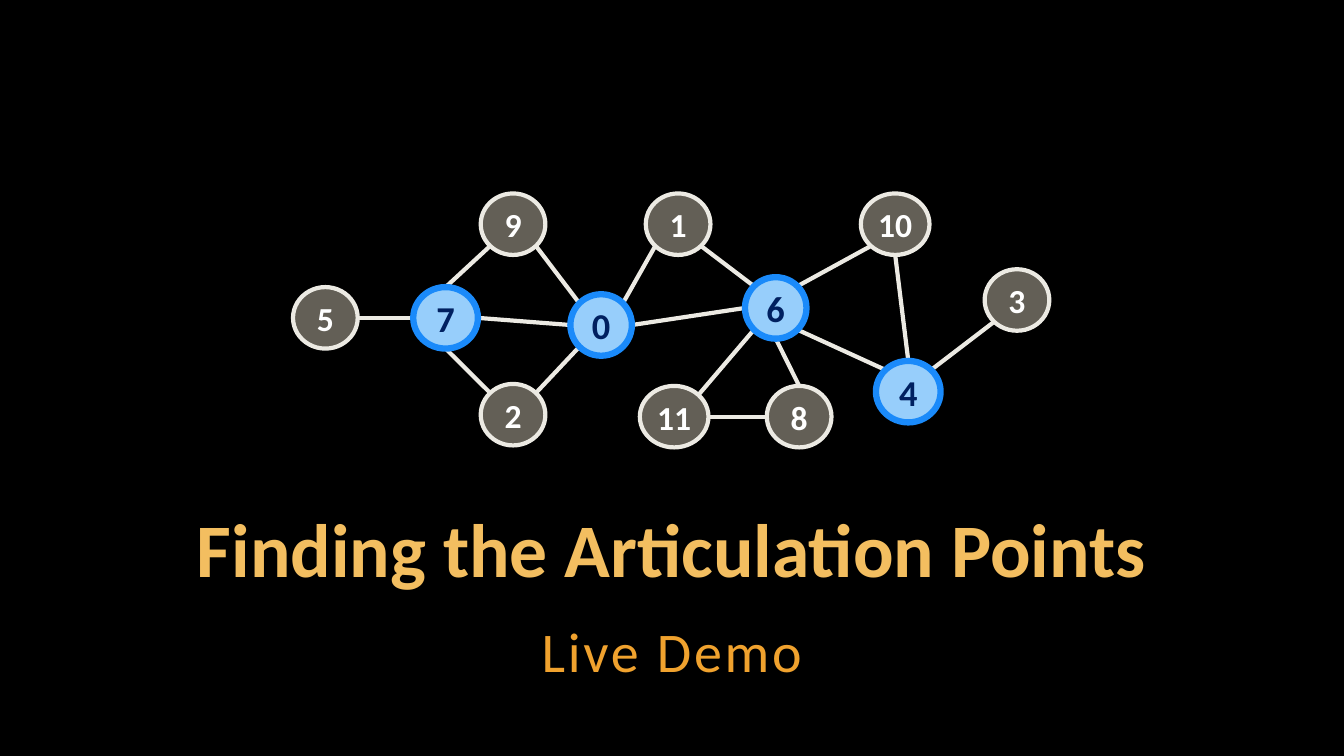
import math
from dataclasses import dataclass

import pptx
import pptx.dml.color
import pptx.enum.shapes
import pptx.enum.text
import pptx.oxml.ns
import pptx.oxml.xmlchemy
import pptx.util
from pptx.util import Cm, Pt


@dataclass(frozen=True)
class Theme:
    font: str = "Calibri"
    background: str = "000000"
    title: str = "F3BE60"
    subtitle: str = "F0A22E"
    edge: str = "ECEAE3"
    vertex_fill: str = "C7BFAC"
    vertex_text: str = "FFFFFF"
    cut_fill: str = "97CEFB"
    cut_line: str = "1A8AFA"
    cut_text: str = "002060"
    title_size: int = 54
    subtitle_size: int = 40
    vertex_size: int = 24
    cut_size: int = 26
    edge_width: float = 3
    cut_width: float = 4.5


THEME = Theme()
HEIGHT = 1.55
NARROW, NORMAL, WIDE = 1.55, 1.63, 1.73
ARTICULATION_POINTS = {0, 4, 6, 7}

VERTICES = {
    0: (15.15, 8.19, NARROW),
    1: (17.09, 5.65, NORMAL),
    2: (12.93, 10.45, NORMAL),
    3: (25.63, 7.56, NORMAL),
    4: (22.89, 9.87, NORMAL),
    5: (8.2, 8.01, NORMAL),
    6: (19.55, 7.76, NARROW),
    7: (11.23, 8.01, NORMAL),
    8: (20.14, 10.5, NORMAL),
    9: (12.93, 5.65, NORMAL),
    10: (22.56, 5.65, WIDE),
    11: (16.99, 10.5, WIDE),
}

EDGES = [
    (5, "E", 7, "W"),
    (7, "N", 9, "SW"),
    (7, "S", 2, "NW"),
    (7, "E", 0, "W"),
    (9, "SE", 0, "NW"),
    (2, "NE", 0, "SW"),
    (0, "NE", 1, "SW"),
    (0, "E", 6, "W"),
    (1, "SE", 6, "NW"),
    (6, "NE", 10, "SW"),
    (6, "SE", 4, "NW"),
    (6, "SW", 11, "NE"),
    (6, "S", 8, "N"),
    (11, "E", 8, "W"),
    (10, "S", 4, "N"),
    (4, "NE", 3, "SW"),
]
COMPASS = ("E", "SE", "S", "SW", "W", "NW", "N", "NE")


def rgb(value):
    return pptx.dml.color.RGBColor.from_string(value)


def write_text(frame, text, *, size, color, bold=False, anchor="TOP",
               margins=(0.1, 0.1), line_spacing=1.0, space_after=0,
               tracking=0, grow=False):
    frame.word_wrap = True
    frame.auto_size = (pptx.enum.text.MSO_AUTO_SIZE.SHAPE_TO_FIT_TEXT if grow
                       else pptx.enum.text.MSO_AUTO_SIZE.NONE)
    frame.vertical_anchor = pptx.enum.text.MSO_ANCHOR[anchor]
    frame.margin_left = frame.margin_right = Cm(margins[0])
    frame.margin_top = frame.margin_bottom = Cm(margins[1])
    paragraph = frame.paragraphs[0]
    paragraph.alignment = pptx.enum.text.PP_ALIGN.CENTER
    paragraph.line_spacing = line_spacing
    paragraph.space_before = Pt(0)
    paragraph.space_after = Pt(space_after)
    run = paragraph.add_run()
    run.text = text
    run.font.name = THEME.font
    run.font.size = Pt(size)
    run.font.bold = bold
    run.font.color.rgb = rgb(color)
    if tracking:
        run.font._element.set("spc", str(tracking * 100))


def rim_point(label, direction):
    x, y, width = VERTICES[label]
    angle = COMPASS.index(direction) * math.pi / 4
    return (Cm(x + width / 2 * math.cos(angle)),
            Cm(y + HEIGHT / 2 * math.sin(angle)))


def add_edge(graph, start, start_side, end, end_side):
    edge = graph.shapes.add_connector(
        pptx.enum.shapes.MSO_CONNECTOR.STRAIGHT,
        *rim_point(start, start_side), *rim_point(end, end_side))
    edge.line.color.rgb = rgb(THEME.edge)
    edge.line.width = Pt(THEME.edge_width)
    edge._element.spPr.append(pptx.oxml.xmlchemy.OxmlElement("a:effectLst"))


def add_vertex(graph, label):
    x, y, width = VERTICES[label]
    is_cut = label in ARTICULATION_POINTS
    vertex = graph.shapes.add_shape(
        pptx.enum.shapes.MSO_SHAPE.OVAL,
        Cm(x - width / 2), Cm(y - HEIGHT / 2), Cm(width), Cm(HEIGHT))
    vertex.shadow.inherit = False
    vertex.fill.solid()
    vertex.fill.fore_color.rgb = rgb(THEME.cut_fill if is_cut else THEME.vertex_fill)
    if not is_cut:
        color = vertex._element.spPr.find(".//" + pptx.oxml.ns.qn("a:srgbClr"))
        alpha = pptx.oxml.xmlchemy.OxmlElement("a:alpha")
        alpha.set("val", "50000")
        color.append(alpha)
    vertex.line.color.rgb = rgb(THEME.cut_line if is_cut else THEME.edge)
    vertex.line.width = Pt(THEME.cut_width if is_cut else THEME.edge_width)
    write_text(vertex.text_frame, str(label), bold=True, anchor="MIDDLE",
               margins=(0.1, 0.13),
               size=THEME.cut_size if is_cut else THEME.vertex_size,
               color=THEME.cut_text if is_cut else THEME.vertex_text)


def add_graph(slide):
    graph = slide.shapes.add_group_shape()
    for edge in EDGES:
        add_edge(graph, *edge)
    for label in VERTICES:
        add_vertex(graph, label)


def add_headings(slide):
    title = slide.shapes.title
    title.left, title.top = Cm(2.54), Cm(12.78)
    title.width, title.height = Cm(28.78), Cm(2.29)
    write_text(title.text_frame, "Finding the Articulation Points", bold=True,
               size=THEME.title_size, color=THEME.title, anchor="BOTTOM",
               line_spacing=0.9, grow=True)
    subtitle = slide.shapes.add_textbox(Cm(2.54), Cm(15.34), Cm(28.78), Cm(2.01))
    write_text(subtitle.text_frame, "Live Demo", size=THEME.subtitle_size,
               color=THEME.subtitle, line_spacing=1.05, space_after=6,
               tracking=2, grow=True)


def main():
    presentation = pptx.Presentation()
    presentation.slide_width, presentation.slide_height = Cm(33.87), Cm(19.05)
    slide = presentation.slides.add_slide(presentation.slide_layouts[5])
    slide.background.fill.solid()
    slide.background.fill.fore_color.rgb = rgb(THEME.background)
    add_headings(slide)
    add_graph(slide)
    presentation.save("out.pptx")


if __name__ == "__main__":
    main()
